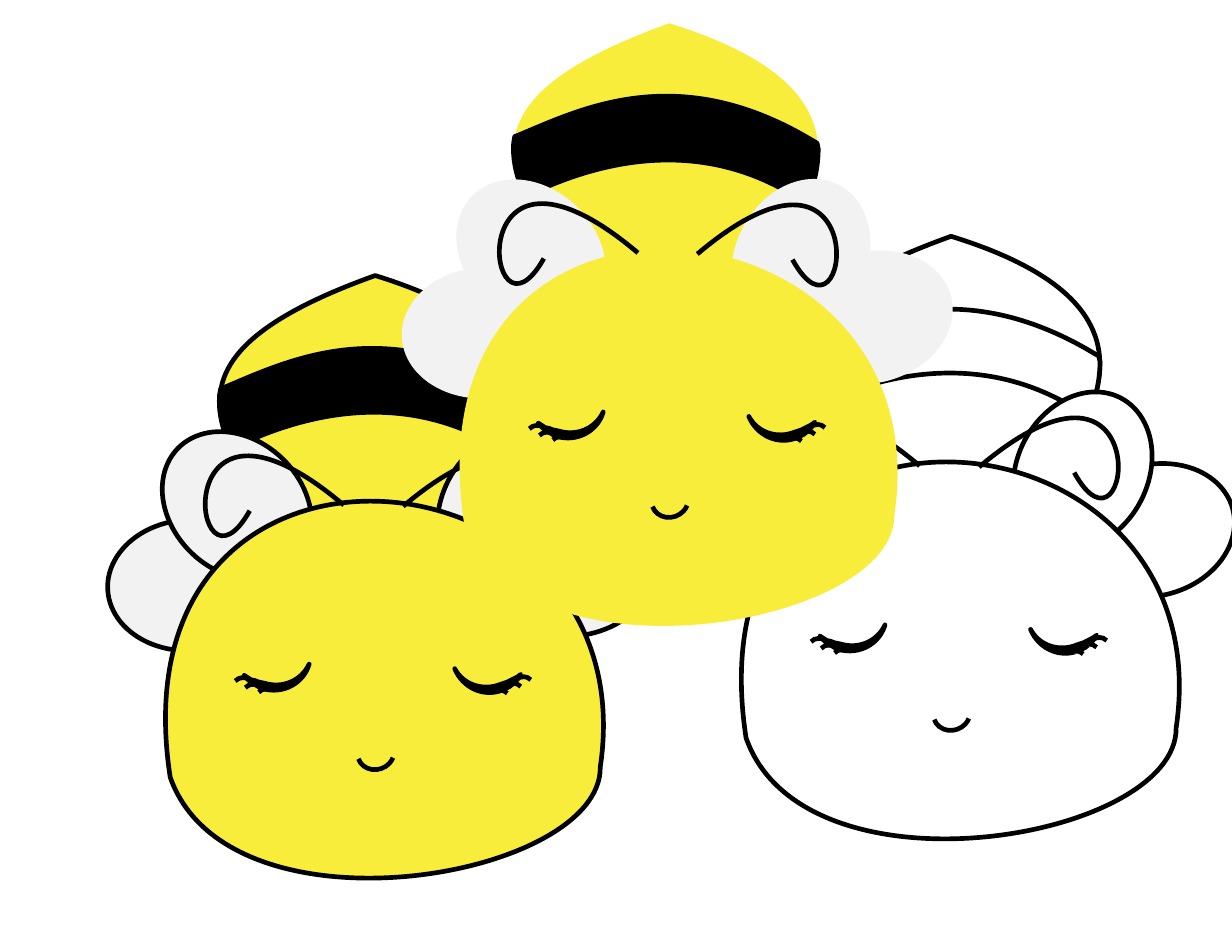
import dataclasses
import typing

import lxml.etree
import pptx
import pptx.dml.color
import pptx.enum.shapes
import pptx.oxml.ns
import pptx.util

Cm = pptx.util.Cm
Shape = pptx.enum.shapes.MSO_SHAPE
qn = pptx.oxml.ns.qn


@dataclasses.dataclass
class Theme:
    ink: str = "000000"
    white: str = "FFFFFF"
    honey: str = "F8ED3B"
    mist: str = "F2F2F2"
    stroke: float = 3


@dataclasses.dataclass
class Look:
    skin: str
    wing: str
    band: str
    edge: typing.Optional[str]
    fine: typing.Optional[str] = None


THEME = Theme()
GRID = 493
STEPS = 20

BODY = [(322, 246), (134, 258), (167, 173, -18, 92, 239, 0),
        (488, 77, 308, 211, 322, 246)]
BAND = [(361, 160), (358, 159), (291, 114, 211, 110, 125, 148),
        (110, 154), (107, 147), (102, 134, 99, 121, 100, 107),
        (101, 101), (104, 100), (161, 76, 244, 35, 359, 100),
        (371, 107), (372, 112), (372, 127, 369, 142, 363, 156)]
HEAD = [(56, 448), (2, 98, 484, 144, 440, 439),
        (441, 539, 108, 596, 56, 448)]
WINGS = [(346, 204, 344.8), (283, 151, 297.6),
         (0, 218, 356.7), (42, 147, 43.9)]
WING_SIZE = (147, 117)
MOUTH = (223, 411, 33, 30)
EYES = [
    ([(359, 367), (363, 364, 366, 361, 368, 358), (369, 356), (368, 357),
      (367, 358, 365, 359, 363, 360), (361, 361, 359, 362, 357, 363),
      (351, 365), (336, 371, 318, 366, 310, 351),
      (317, 368, 336, 377, 353, 370), (355, 369, 357, 368, 359, 367)],
     [(344, 372), (349, 370, 353, 369, 357, 373)],
     [(0, 0), (12, -6), (21, -12)]),
    ([(133, 366), (129, 364, 126, 362, 123, 358), (122, 357),
      (124, 358, 126, 360, 128, 361), (130, 361, 133, 362, 135, 363),
      (140, 364), (156, 369, 173, 362, 180, 347),
      (175, 364, 157, 374, 139, 369), (137, 368, 135, 368, 133, 366)],
     [(148, 370), (143, 369, 139, 368, 135, 372)],
     [(0, 0), (-12, -4), (-21, -10)]),
]
FEELERS = [[(211, 205), (49, 68, 75, 303, 127, 210)],
           [(264, 206), (426, 69, 401, 305, 349, 211)]]


def paint(shape, fill, line):
    shape.shadow.inherit = False
    for part, color in ((shape.fill, fill), (shape.line.fill, line)):
        if color:
            part.solid()
            part.fore_color.rgb = pptx.dml.color.RGBColor.from_string(color)
        else:
            part.background()
    if line:
        shape.line.width = pptx.util.Pt(THEME.stroke)


def bend(start, curve):
    knots = [start, *curve]
    for step in range(1, STEPS + 1):
        t = step / STEPS
        parts = ((1 - t) ** 3, 3 * t * (1 - t) ** 2, 3 * t * t * (1 - t), t ** 3)
        yield tuple(sum(p * knot[axis] for p, knot in zip(parts, knots))
                    for axis in (0, 1))


def bounds(moves):
    points = list(moves[0])
    for move in moves[1:]:
        points.extend(move if len(move) == 1 else bend(points[-1], move))
    across, down = zip(*points)
    return (round(min(across)), round(min(down))), (round(max(across)), round(max(down)))


def draw_curve(shapes, moves, close):
    low, high = bounds(moves)
    pen = shapes.build_freeform(*low, scale=1.0)
    pen.add_line_segments([high], close=False)
    shape = pen.convert_to_shape()
    track = shape.element.find(".//" + qn("a:path"))
    for child in list(track):
        track.remove(child)
    for index, move in enumerate(moves):
        kind = "a:cubicBezTo" if len(move) == 3 else "a:lnTo" if index else "a:moveTo"
        step = lxml.etree.SubElement(track, qn(kind))
        for x, y in move:
            lxml.etree.SubElement(step, qn("a:pt"), x=str(x - low[0]), y=str(y - low[1]))
    if close:
        lxml.etree.SubElement(track, qn("a:close"))
    return shape


def draw_bee(slide, left, top, width, look):
    shapes = slide.shapes.add_group_shape().shapes
    unit = width / GRID

    def place(x, y):
        return Cm(left + x * unit), Cm(top + y * unit)

    def outline(route, fill, line, close=True, shift=(0, 0)):
        moves = [[place(x + shift[0], y + shift[1])
                  for x, y in zip(move[::2], move[1::2])] for move in route]
        paint(draw_curve(shapes, moves, close), fill, line)

    def preset(kind, x, y, wide, high, turn, fill, line):
        shape = shapes.add_shape(kind, *place(x, y), Cm(wide * unit), Cm(high * unit))
        shape.rotation = turn
        paint(shape, fill, line)
        return shape

    outline(BODY, look.skin, look.edge)
    outline(BAND, look.band, THEME.ink)
    for x, y, turn in WINGS:
        preset(Shape.OVAL, x, y, *WING_SIZE, turn, look.wing, look.edge)
    outline(HEAD, look.skin, look.edge)
    mouth = preset(Shape.ARC, *MOUTH, 160.6, look.fine, THEME.ink)
    mouth.adjustments[0] = 129.4
    mouth.adjustments[1] = 0
    for lid, lash, shifts in EYES:
        outline(lid, THEME.ink, THEME.ink)
        for shift in shifts:
            outline(lash, look.fine, THEME.ink, close=False, shift=shift)
    for feeler in FEELERS:
        outline(feeler, None, THEME.ink, close=False)


def main():
    deck = pptx.Presentation()
    deck.slide_width, deck.slide_height = Cm(27.94), Cm(21.59)
    slide = deck.slides.add_slide(deck.slide_layouts[6])
    lined = Look(THEME.honey, THEME.mist, THEME.ink, THEME.ink)
    blank = Look(THEME.white, THEME.white, THEME.white, THEME.ink, THEME.white)
    plain = Look(THEME.honey, THEME.mist, THEME.ink, None)
    for left, top, look in ((2.44, 6.25, lined), (15.5, 5.36, blank),
                            (9.11, 0.53, plain)):
        draw_bee(slide, left, top, 12.52, look)
    deck.save("out.pptx")


if __name__ == "__main__":
    main()
